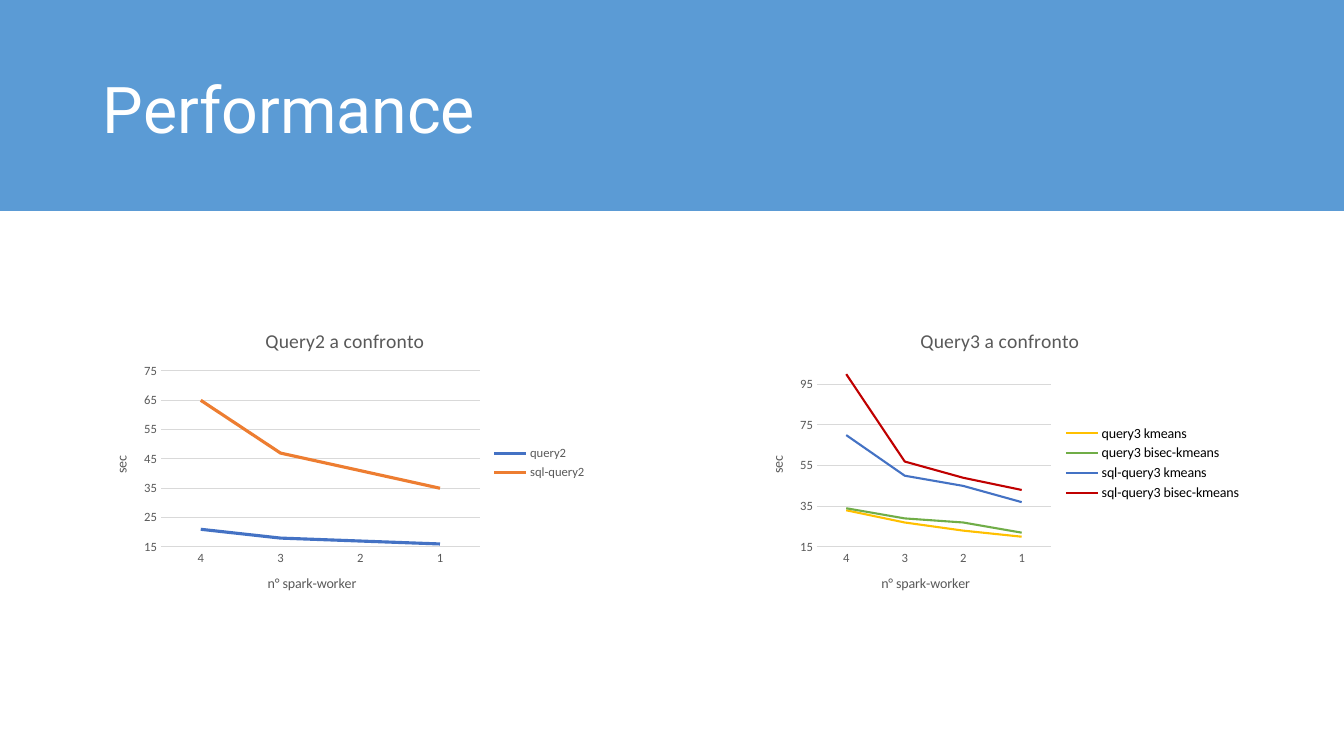
from lxml.etree import SubElement
from pptx import Presentation
from pptx.chart.data import CategoryChartData
from pptx.dml.color import RGBColor
from pptx.enum.chart import XL_CHART_TYPE, XL_LEGEND_POSITION, XL_MARKER_STYLE, XL_TICK_MARK
from pptx.enum.shapes import MSO_SHAPE
from pptx.enum.text import MSO_ANCHOR
from pptx.oxml.ns import qn
from pptx.util import Emu, Pt

PIXEL = 914400 / 100.8
GREY = "595959"
GRID = "D9D9D9"
WORKERS = ["4", "3", "2", "1"]


def px(length):
    return Emu(round(length * PIXEL))


def color(value):
    return RGBColor.from_string(value)


def style_font(font, size, fill, name="Calibri"):
    font.size = Pt(size)
    font.name = name
    font.bold = False
    font.color.rgb = color(fill)


def style_line(line, fill, width):
    line.color.rgb = color(fill)
    line.width = Pt(width)


def set_title(owner, text, size):
    owner.has_title = True
    title = owner.chart_title if hasattr(owner, "chart_title") else owner.axis_title
    title.text_frame.text = text
    style_font(title.text_frame.paragraphs[0].runs[0].font, size, GREY)


def set_plot_area(chart, box, plot_box):
    left, top, width, height = box
    plot_left, plot_top, plot_width, plot_height = plot_box
    plot_area = chart._chartSpace.chart.plotArea
    layout = plot_area.find(qn("c:layout"))
    if layout is None:
        layout = SubElement(plot_area, qn("c:layout"))
        plot_area.insert(0, layout)
    manual = SubElement(layout, qn("c:manualLayout"))
    settings = {
        "layoutTarget": "inner", "xMode": "edge", "yMode": "edge",
        "x": plot_left / width, "y": plot_top / height,
        "w": plot_width / width, "h": plot_height / height,
    }
    for tag, value in settings.items():
        SubElement(manual, qn(f"c:{tag}")).set("val", str(value))


def add_header(slide, box, text):
    left, top, width, height = box
    band = slide.shapes.add_shape(MSO_SHAPE.RECTANGLE, *map(px, box))
    band.shadow.inherit = False
    band.fill.solid()
    band.fill.fore_color.rgb = color("5B9BD5")
    band.line.fill.background()
    title = slide.shapes.add_textbox(px(left + 93), px(top + 40), px(width - 185), px(146))
    frame = title.text_frame
    frame.word_wrap = True
    frame.vertical_anchor = MSO_ANCHOR.MIDDLE
    frame.text = text
    paragraph = frame.paragraphs[0]
    paragraph.line_spacing = 0.9
    style_font(paragraph.runs[0].font, 46, "FFFFFF", "Roboto")


def add_line_chart(slide, box, plot_box, title, series_rows, limits, line_width, legend_style):
    data = CategoryChartData()
    data.categories = WORKERS
    for name, values, fill in series_rows:
        data.add_series(name, values)
    chart = slide.shapes.add_chart(XL_CHART_TYPE.LINE, *map(px, box), data).chart
    style_font(chart.font, 10, "000000")
    set_title(chart, title, 14)
    chart.chart_title.include_in_layout = False
    set_plot_area(chart, box, plot_box)

    chart.has_legend = True
    chart.legend.position = XL_LEGEND_POSITION.RIGHT
    chart.legend.include_in_layout = False
    style_font(chart.legend.font, *legend_style)

    for axis, label in ((chart.category_axis, "n° spark-worker"), (chart.value_axis, "sec")):
        set_title(axis, label, 10)
        style_font(axis.tick_labels.font, 9, GREY)
        axis.major_tick_mark = axis.minor_tick_mark = XL_TICK_MARK.NONE
    style_line(chart.category_axis.format.line, GRID, 0.75)
    value_axis = chart.value_axis
    value_axis.minimum_scale, value_axis.maximum_scale, value_axis.major_unit = limits
    value_axis.tick_labels.number_format = "0"
    value_axis.tick_labels.number_format_is_linked = False
    value_axis.format.line.fill.background()
    value_axis.has_major_gridlines = True
    style_line(value_axis.major_gridlines.format.line, GRID, 0.75)

    chart.plots[0].vary_by_categories = False
    for series, (name, values, fill) in zip(chart.plots[0].series, series_rows):
        series.smooth = False
        series.marker.style = XL_MARKER_STYLE.NONE
        style_line(series.format.line, fill, line_width)


presentation = Presentation()
presentation.slide_width = px(1344)
presentation.slide_height = px(756)
slide = presentation.slides.add_slide(presentation.slide_layouts[6])

add_header(slide, (0, 0, 1344, 211), "Performance")
add_line_chart(
    slide, (93, 312, 504, 302), (68, 59, 319, 176), "Query2 a confronto",
    [
        ("query2", (21, 18, 17, 16), "4472C4"),
        ("sql-query2", (65, 47, 41, 35), "ED7D31"),
    ],
    (15, 75, 10), 2.25, (9, GREY),
)
add_line_chart(
    slide, (748, 312, 504, 302), (69, 52, 234, 183), "Query3 a confronto",
    [
        ("query3 kmeans", (33, 27, 23, 20), "FFC000"),
        ("query3 bisec-kmeans", (34, 29, 27, 22), "70AD47"),
        ("sql-query3 kmeans", (70, 50, 45, 37), "4472C4"),
        ("sql-query3 bisec-kmeans", (100, 57, 49, 43), "C00000"),
    ],
    (15, 105, 20), 1.5, (10, "000000"),
)

presentation.save("out.pptx")
